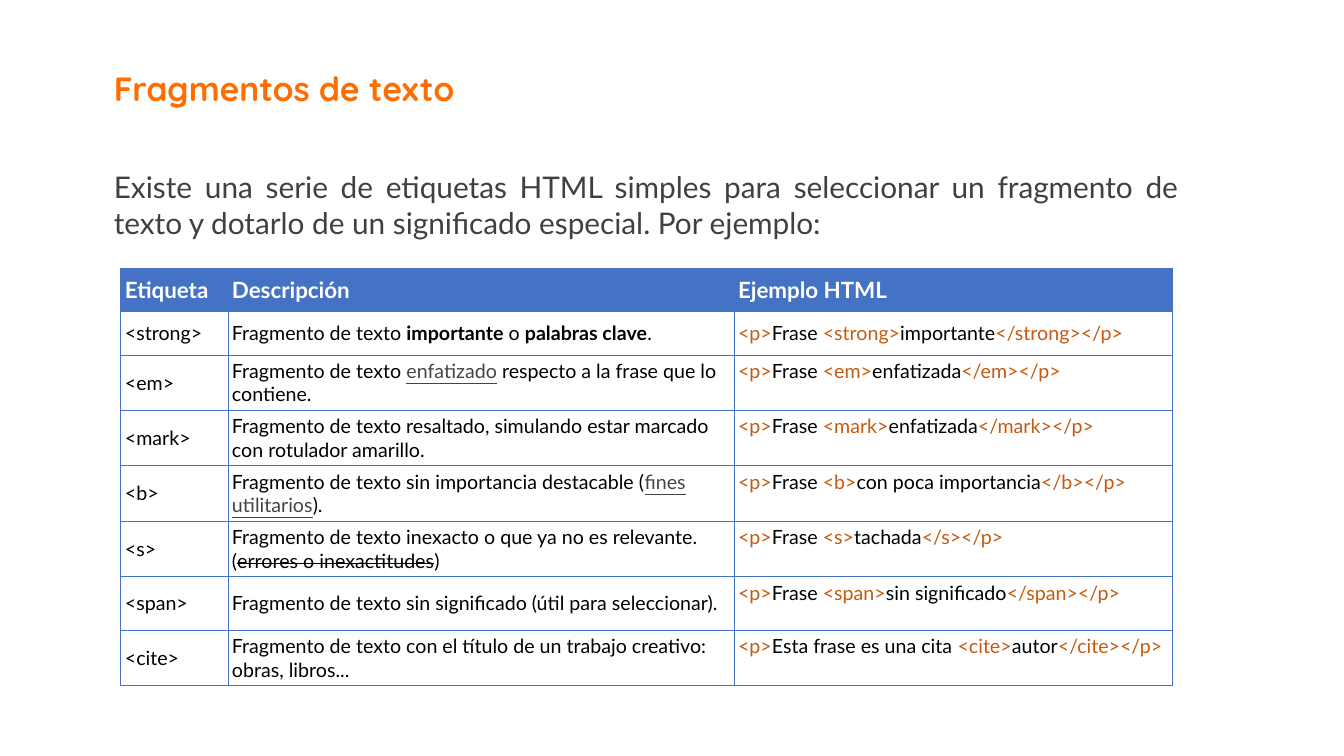
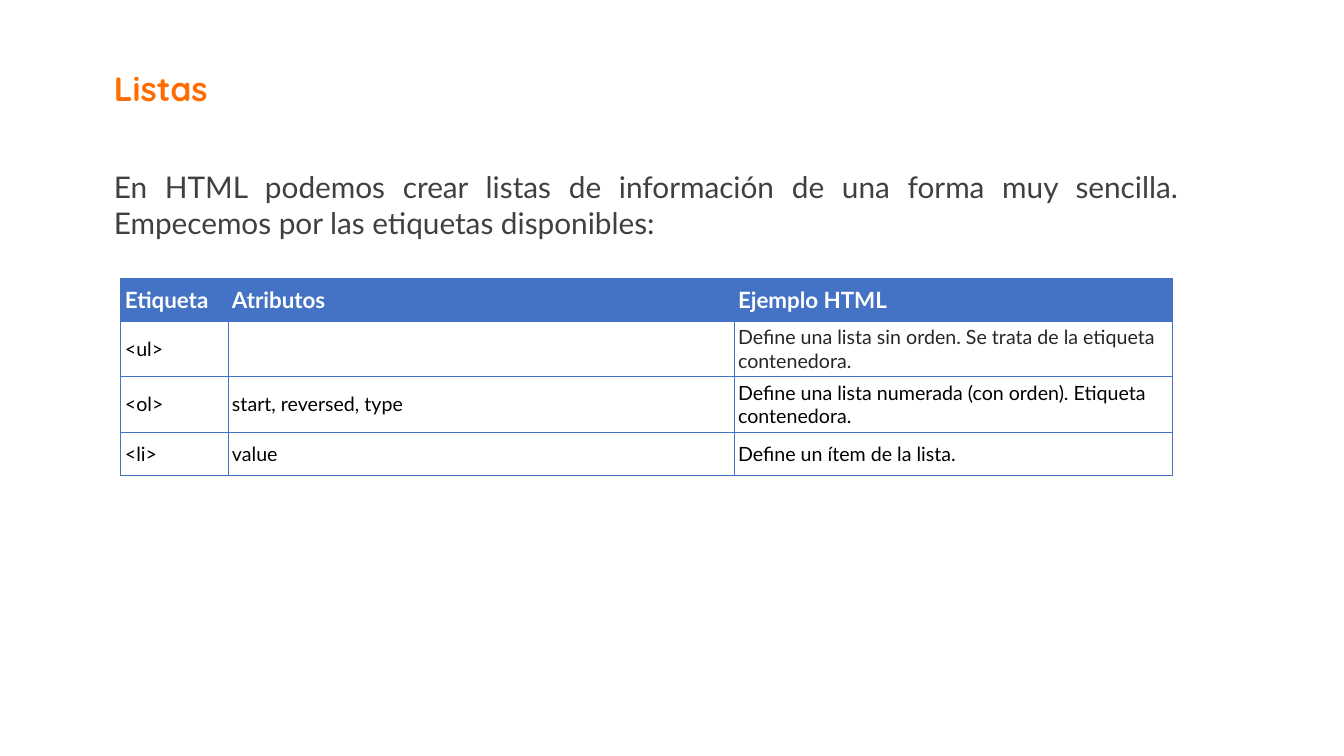
from dataclasses import dataclass

from lxml import etree
from pptx import Presentation
from pptx import util as u
from pptx.dml.color import RGBColor
from pptx.enum import text
from pptx.oxml import ns

PX = 9525


@dataclass(frozen=True)
class Theme:
    """Colours, fonts and type sizes shared by the slides."""
    title: str = "FF6C00"
    intro: str = "404040"
    accent: str = "4472C4"
    header: str = "FFFFFF"
    cell: str = "000000"
    code: str = "C55A11"
    underlined: str = "444444"
    soft: str = "262626"
    title_font: str = "Quicksand"
    body_font: str = "Lato"
    title_size: float = 24
    intro_size: float = 21.3
    header_size: float = 16
    cell_size: float = 14
    border: float = 0.5


class Deck:
    """Holds the style and the current slide."""

    def __init__(self, theme):
        self.theme = theme
        self.prs = Presentation()
        self.prs.slide_width, self.prs.slide_height = 1280 * PX, 720 * PX
        self.s = None

    def slide(self, title, intro):
        """Starts a slide with its title and introduction."""
        t = self.theme
        self.s = self.prs.slides.add_slide(self.prs.slide_layouts[6])
        p = self.textbox(intro, 99, 156, 1033, 79)
        p.alignment = text.PP_ALIGN.JUSTIFY
        self.font(p.runs[0], t.body_font, t.intro_size, t.intro)
        p = self.textbox(title, 99, 60, 865, 48)
        self.font(p.runs[0], t.title_font, t.title_size, t.title, True)

    def textbox(self, words, x, y, w, h):
        """Adds a wrapped text box and returns its paragraph."""
        sp = self.s.shapes.add_textbox(x * PX, y * PX, w * PX, h * PX)
        tf = sp.text_frame
        tf.text = words
        tf.word_wrap = True
        tf.auto_size = text.MSO_AUTO_SIZE.SHAPE_TO_FIT_TEXT
        return tf.paragraphs[0]

    def font(self, r, name, size, colour, bold=False):
        """Formats one run."""
        r.font.name, r.font.size, r.font.bold = name, u.Pt(size), bold
        r.font.color.rgb = RGBColor.from_string(colour)

    def table(self, y, heights, rows):
        """Adds a bordered table whose first row is the header."""
        widths = (102, 482, 418)
        frame = self.s.shapes.add_table(
            len(rows), len(widths), 115 * PX, y * PX,
            sum(widths) * PX, sum(heights) * PX)
        tbl = frame.table
        tbl.first_row = tbl.horz_banding = False
        for col, width in zip(tbl.columns, widths):
            col.width = width * PX
        for i, (row, height) in enumerate(zip(rows, heights)):
            tbl.rows[i].height = height * PX
            for j, content in enumerate(row):
                self.cell(tbl.cell(i, j), content, i == 0, height)

    def cell(self, cell, content, header, height):
        """Fills one cell with a string or a list of (text, style) runs."""
        t = self.theme
        cell.margin_left = cell.margin_right = 4 * PX
        cell.margin_top = cell.margin_bottom = 4 * PX
        runs = [(content, "")] if isinstance(content, str) else content
        tall_code = height == TALL and runs[0][1] == "code"
        cell.vertical_anchor = (text.MSO_ANCHOR.TOP if tall_code
                                else text.MSO_ANCHOR.MIDDLE)
        self.borders(cell)
        if header:
            cell.fill.solid()
            cell.fill.fore_color.rgb = RGBColor.from_string(t.accent)
        else:
            cell.fill.background()
        p = cell.text_frame.paragraphs[0]
        for words, style in runs:
            if not words:
                p.font.size = u.Pt(t.cell_size)
                continue
            r = p.add_run()
            r.text = words
            if header:
                self.font(r, t.body_font, t.header_size, t.header, True)
                continue
            colour = getattr(t, style or "cell", t.cell)
            self.font(r, t.body_font, t.cell_size, colour, style == "bold")
            if style == "underlined":
                r.font.underline = True
            elif style == "struck":
                r._r.get_or_add_rPr().set("strike", "sngStrike")

    def borders(self, cell):
        """Draws the four sides of a cell."""
        tc_pr = cell._tc.get_or_add_tcPr()
        for side in ("a:lnL", "a:lnR", "a:lnT", "a:lnB"):
            ln = etree.SubElement(tc_pr, ns.qn(side),
                                  w=str(u.Pt(self.theme.border)))
            fill = etree.SubElement(ln, ns.qn("a:solidFill"))
            etree.SubElement(fill, ns.qn("a:srgbClr"), val=self.theme.accent)


SHORT, TALL = 41, 51

FRAGMENTS = [
    ("strong", [("Fragmento de texto ", ""), ("importante", "bold"),
                (" o ", ""), ("palabras clave", "bold"), (".", "")],
     "Frase ", "importante"),
    ("em", [("Fragmento de texto ", ""), ("enfatizado", "underlined"),
            (" respecto a la frase que lo contiene.", "")],
     "Frase ", "enfatizada"),
    ("mark", "Fragmento de texto resaltado, simulando estar marcado "
             "con rotulador amarillo.",
     "Frase ", "enfatizada"),
    ("b", [("Fragmento de texto sin importancia destacable (", ""),
           ("fines utilitarios", "underlined"), (").", "")],
     "Frase ", "con poca importancia"),
    ("s", [("Fragmento de texto inexacto o que ya no es relevante. (", ""),
           ("errores o inexactitudes", "struck"), (")", "")],
     "Frase ", "tachada"),
    ("span", "Fragmento de texto sin significado (útil para seleccionar).",
     "Frase ", "sin significado"),
    ("cite", "Fragmento de texto con el título de un trabajo creativo: "
             "obras, libros...",
     "Esta frase es una cita ", "autor"),
]

LISTS = [
    ("Etiqueta", "Atributos", "Ejemplo HTML"),
    ("<ul>", "", [("Define una lista sin orden. Se trata de la etiqueta "
                   "contenedora.", "soft")]),
    ("<ol>", "start, reversed, type",
     "Define una lista numerada (con orden). Etiqueta contenedora."),
    ("<li>", "value", "Define un ítem de la lista."),
]


def example(tag, lead, inside):
    """Returns the runs of a paragraph that uses the tag."""
    return [("<p>", "code"), (lead, ""), (f"<{tag}>", "code"),
            (inside, ""), (f"</{tag}></p>", "code")]


def main():
    """Builds and saves the deck."""
    deck = Deck(Theme())
    deck.slide("Fragmentos de texto",
               "Existe una serie de etiquetas HTML simples para seleccionar "
               "un fragmento de texto y dotarlo de un significado especial. "
               "Por ejemplo:")
    rows = [("Etiqueta", "Descripción", "Ejemplo HTML")]
    rows += [(f"<{tag}>", description, example(tag, lead, inside))
             for tag, description, lead, inside in FRAGMENTS]
    deck.table(256, [SHORT] * 2 + [TALL] * 6, rows)

    deck.slide("Listas",
               "En HTML podemos crear listas de información de una forma muy "
               "sencilla. Empecemos por las etiquetas disponibles:")
    deck.table(265, [SHORT, TALL, TALL, SHORT], LISTS)
    deck.prs.save("out.pptx")


if __name__ == "__main__":
    main()
